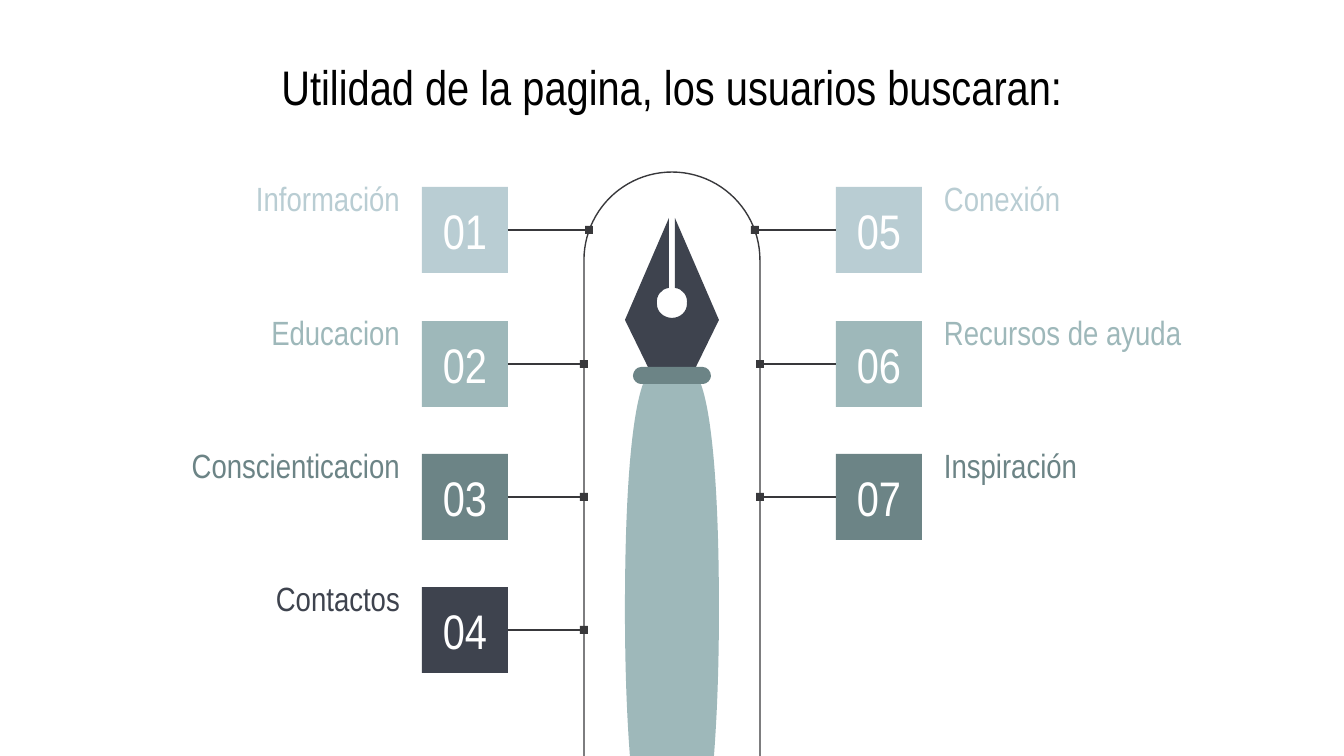
from dataclasses import dataclass
from math import ceil

from lxml import etree
from pptx import Presentation
from pptx.dml.color import RGBColor
from pptx.enum.shapes import MSO_CONNECTOR, MSO_SHAPE
from pptx.enum.text import MSO_ANCHOR, PP_ALIGN
from pptx.oxml.ns import qn
from pptx.util import Pt

RECT = MSO_SHAPE.RECTANGLE
ARCH = MSO_SHAPE.ROUND_2_SAME_RECTANGLE
LINE = MSO_CONNECTOR.STRAIGHT
MIDDLE = MSO_ANCHOR.MIDDLE
LEFT, CENTER, RIGHT = PP_ALIGN.LEFT, PP_ALIGN.CENTER, PP_ALIGN.RIGHT

WIDTH, HEIGHT = 1344, 756
SCALE = 914400 / 134.4


@dataclass(frozen=True)
class Theme:
    font: str = "Arial Narrow"
    big: int = 26
    small: int = 18
    rule: float = 0.75
    black: str = "000000"
    white: str = "FFFFFF"
    ink: str = "38383B"
    mist: str = "B9CDD3"
    sage: str = "9EB8BA"
    moss: str = "6C8486"
    slate: str = "3E434E"


THEME = Theme()
TONES = (THEME.mist, THEME.sage, THEME.moss, THEME.slate)
LABELS = (
    ("Información", "Educacion", "Conscienticacion", "Contactos"),
    ("Conexión", "Recursos de ayuda", "Inspiración"),
)

# Right half of each pen outline: C takes three points, L takes one
BODY = ("CC", [(696, 375), (696, 375), (719, 390), (719, 610),
               (719, 669), (717, 727), (712, 780)])
NIB = ("CCLLL", [(672, 318), (680, 318), (687, 312), (687, 304),
                 (688, 296), (683, 289), (675, 288),
                 (675, 218), (719, 320), (696, 367)])
RING = ("CC", [(703, 367), (707, 367), (711, 371), (711, 376),
               (711, 380), (707, 384), (703, 384)])


def px(num):
    return round(num * SCALE)


def rgb(tone):
    return RGBColor.from_string(tone)


def assign(target, values):
    for name, value in values.items():
        setattr(target, name, value)


def paint(shape, fill=None, line=None):
    shape.shadow.inherit = False
    if fill:
        shape.fill.solid()
        shape.fill.fore_color.rgb = rgb(fill)
    else:
        shape.fill.background()
    if line:
        shape.line.color.rgb = rgb(line)
        shape.line.width = Pt(THEME.rule)
    else:
        shape.line.fill.background()


def add_block(slide, kind, box, fill=None, line=None, bends=()):
    shape = slide.shapes.add_shape(kind, *map(px, box))
    for spot, bend in enumerate(bends):
        shape.adjustments[spot] = bend
    paint(shape, fill, line)
    return shape


def write(shape, text, size, tone, align):
    frame = shape.text_frame
    inset = px(13)
    assign(frame, {"word_wrap": True, "vertical_anchor": MIDDLE,
                   "margin_left": inset, "margin_right": inset,
                   "margin_top": inset, "margin_bottom": inset})
    para = frame.paragraphs[0]
    para.alignment = align
    run = para.add_run()
    run.text = text
    assign(run.font, {"name": THEME.font, "size": Pt(size)})
    run.font.color.rgb = rgb(tone)


def add_text(slide, box, *style):
    write(slide.shapes.add_textbox(*map(px, box)), *style)


def add_rule(slide, start, end, y):
    rule = slide.shapes.add_connector(LINE, px(start), px(y), px(end), px(y))
    rule.line.color.rgb = rgb(THEME.ink)
    rule.line.width = Pt(THEME.rule)
    etree.SubElement(rule.element.spPr, qn("a:effectLst"))


def bend(shape, kinds):
    """Merge three line steps into one cubic curve wherever kinds has a C."""
    steps = iter(list(shape.element.iter(qn("a:lnTo"))))
    for kind in kinds:
        curve = next(steps)
        if kind == "C":
            curve.tag = qn("a:cubicBezTo")
            for _ in range(2):
                step = next(steps)
                curve.append(step[0])
                step.getparent().remove(step)


def add_form(slide, half, fill):
    """Draw a closed outline from its right half and the mirror of it."""
    kinds, points = half
    points = points + [(WIDTH - x, y) for x, y in reversed(points)]
    points = [(px(x), px(y)) for x, y in points]
    form = slide.shapes.build_freeform(*points[0])
    form.add_line_segments(points[1:], close=True)
    shape = form.convert_to_shape()
    bend(shape, kinds + "L" + kinds[::-1])
    paint(shape, fill)


def add_pen(slide):
    add_block(slide, ARCH, (584, 172, 176, 597), line=THEME.ink, bends=(0.5, 0))
    add_form(slide, BODY, THEME.sage)
    add_form(slide, NIB, THEME.slate)
    add_form(slide, RING, THEME.moss)


def add_item(slide, side, row, count, label):
    def place(x, wide):
        return WIDTH - x - wide if side else x

    tile, dot, wide = 86, 8, 352
    top = 187 + ceil(row * 400 / 3)
    mid = top + tile // 2
    tone = TONES[row]
    # The first dot sits on the curve of the arch
    spot = 580 if row else 585

    add_text(slide, (place(61, wide), top - 14, wide, 50), label,
             THEME.small, tone, LEFT if side else RIGHT)
    box = add_block(slide, RECT, (place(422, tile), top, tile, tile), tone)
    write(box, f"{count:02}", THEME.big, THEME.white, CENTER)
    add_block(slide, RECT, (place(spot, dot), mid - dot // 2, dot, dot), THEME.ink)
    add_rule(slide, *sorted((place(422 + tile, 0), place(spot, 0))), mid)


def main():
    deck = Presentation()
    assign(deck, {"slide_width": px(WIDTH), "slide_height": px(HEIGHT)})
    slide = deck.slides.add_slide(deck.slide_layouts[6])

    # Pen and arch
    add_pen(slide)

    # Title
    add_text(slide, (61, 44, 1223, 85),
             "Utilidad de la pagina, los usuarios buscaran:",
             THEME.big, THEME.black, CENTER)

    # Numbered items on both sides
    count = 0
    for side, labels in enumerate(LABELS):
        for row, label in enumerate(labels):
            count += 1
            add_item(slide, side, row, count, label)

    deck.save("out.pptx")


if __name__ == "__main__":
    main()
